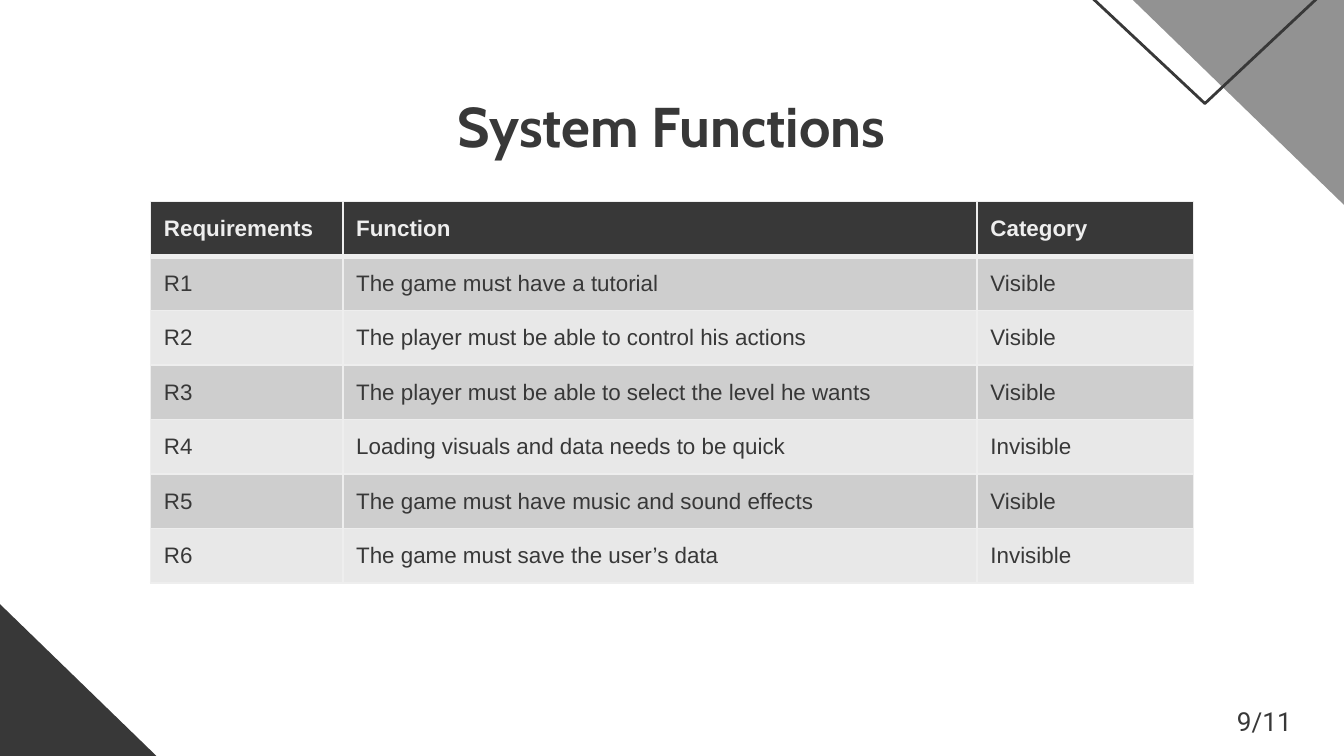
from lxml import etree
from pptx import Presentation
from pptx.dml.color import RGBColor
from pptx.enum.shapes import MSO_SHAPE
from pptx.enum.text import MSO_ANCHOR, PP_ALIGN
from pptx.oxml.ns import qn
from pptx.util import Inches, Pt

RIGHT_TRIANGLE = MSO_SHAPE.RIGHT_TRIANGLE
TRIANGLE = MSO_SHAPE.ISOSCELES_TRIANGLE
TOP, MIDDLE = MSO_ANCHOR.TOP, MSO_ANCHOR.MIDDLE
CENTER, RIGHT = PP_ALIGN.CENTER, PP_ALIGN.RIGHT

DARK = RGBColor(0x38, 0x38, 0x38)
GRAY = RGBColor(0x92, 0x92, 0x92)
PALE = RGBColor(0xEE, 0xEE, 0xEE)
BANDS = (RGBColor(0xE8, 0xE8, 0xE8), RGBColor(0xCE, 0xCE, 0xCE))

SLIDE_WIDTH = 10
SLIDE_HEIGHT = SLIDE_WIDTH * 9 / 16
COLUMN_WIDTHS = (1.43, 4.72, 1.61)
TABLE_HEIGHT = 2.84
HEADINGS = ("Requirements", "Function", "Category")
FUNCTIONS = (
    ("The game must have a tutorial", "Visible"),
    ("The player must be able to control his actions", "Visible"),
    ("The player must be able to select the level he wants", "Visible"),
    ("Loading visuals and data needs to be quick", "Invisible"),
    ("The game must have music and sound effects", "Visible"),
    ("The game must save the user’s data", "Invisible"),
)


def style_paragraph(paragraph, name, size, color, bold=False):
    font = paragraph.font
    font.name, font.size, font.bold = name, Pt(size), bold
    font.color.rgb = color


def place(shape, left, top, width, height):
    shape.left, shape.top = Inches(left), Inches(top)
    shape.width, shape.height = Inches(width), Inches(height)


def set_text(shape, text, alignment):
    """Write one line into a box with even margins and return its paragraph."""
    frame = shape.text_frame
    frame.word_wrap = True
    frame.vertical_anchor = TOP
    frame.margin_left = frame.margin_right = Inches(0.1)
    frame.margin_top = frame.margin_bottom = Inches(0.1)
    frame.text = text
    paragraph = frame.paragraphs[0]
    paragraph.alignment = alignment
    return paragraph


def add_triangle(slide, kind, box, rotation=0, fill=None):
    """Add a filled triangle, or a dark outlined one when no fill is given."""
    shape = slide.shapes.add_shape(kind, *map(Inches, box))
    shape.shadow.inherit = False
    shape.rotation = rotation
    if fill is None:
        shape.fill.background()
        shape.line.color.rgb = DARK
        shape.line.width = Pt(1.5)
    else:
        shape.fill.solid()
        shape.fill.fore_color.rgb = fill
        shape.line.fill.background()


def set_border(cell, side, width):
    properties = cell._tc.get_or_add_tcPr()
    line = etree.SubElement(properties, qn(f"a:ln{side}"), w=str(Pt(width)))
    fill = etree.SubElement(line, qn("a:solidFill"))
    etree.SubElement(fill, qn("a:srgbClr"), val=str(PALE))


def fill_cell(cell, text, row):
    is_heading = row == 0
    cell.text = text
    cell.vertical_anchor = MIDDLE
    style_paragraph(cell.text_frame.paragraphs[0], "Arial", 12,
                    PALE if is_heading else DARK, is_heading)
    for side in "LRTB":
        at_heading_edge = (row, side) in ((0, "B"), (1, "T"))
        set_border(cell, side, 3 if at_heading_edge else 1)
    cell.fill.solid()
    cell.fill.fore_color.rgb = DARK if is_heading else BANDS[row % 2]


def add_function_table(slide):
    rows = [HEADINGS]
    rows += [(f"R{number}", *entry) for number, entry in enumerate(FUNCTIONS, 1)]
    table = slide.shapes.add_table(
        len(rows), len(HEADINGS), Inches(1.12), Inches(1.5),
        Inches(sum(COLUMN_WIDTHS)), Inches(TABLE_HEIGHT)).table
    for column, width in zip(table.columns, COLUMN_WIDTHS):
        column.width = Inches(width)
    for row, texts in enumerate(rows):
        table.rows[row].height = Inches(TABLE_HEIGHT / len(rows))
        for column, text in enumerate(texts):
            fill_cell(table.cell(row, column), text, row)


def add_title(slide, text):
    title = slide.shapes.title
    place(title, 0.78, 0.58, 8.43, 0.58)
    style_paragraph(set_text(title, text, CENTER), "Cabin", 30, DARK, True)


def add_page_number(slide, text):
    box = slide.shapes.add_textbox(
        Inches(8.74), Inches(5.15), Inches(0.97), Inches(0.47))
    style_paragraph(set_text(box, text, RIGHT), "Roboto", 14, DARK)


def main():
    presentation = Presentation()
    presentation.slide_width = Inches(SLIDE_WIDTH)
    presentation.slide_height = Inches(SLIDE_HEIGHT)
    slide = presentation.slides.add_slide(presentation.slide_layouts[5])

    add_triangle(slide, RIGHT_TRIANGLE, (-1.84, 2.71, 3.72, 3.61), fill=DARK)
    add_triangle(slide, RIGHT_TRIANGLE, (7.1, -1.29, 3.72, 3.61), 180, GRAY)
    add_triangle(slide, TRIANGLE, (6.03, -1.98, 5.87, 2.75), 180)
    add_title(slide, "System Functions")
    add_function_table(slide)
    add_page_number(slide, "9/11")
    presentation.save("out.pptx")


if __name__ == "__main__":
    main()
